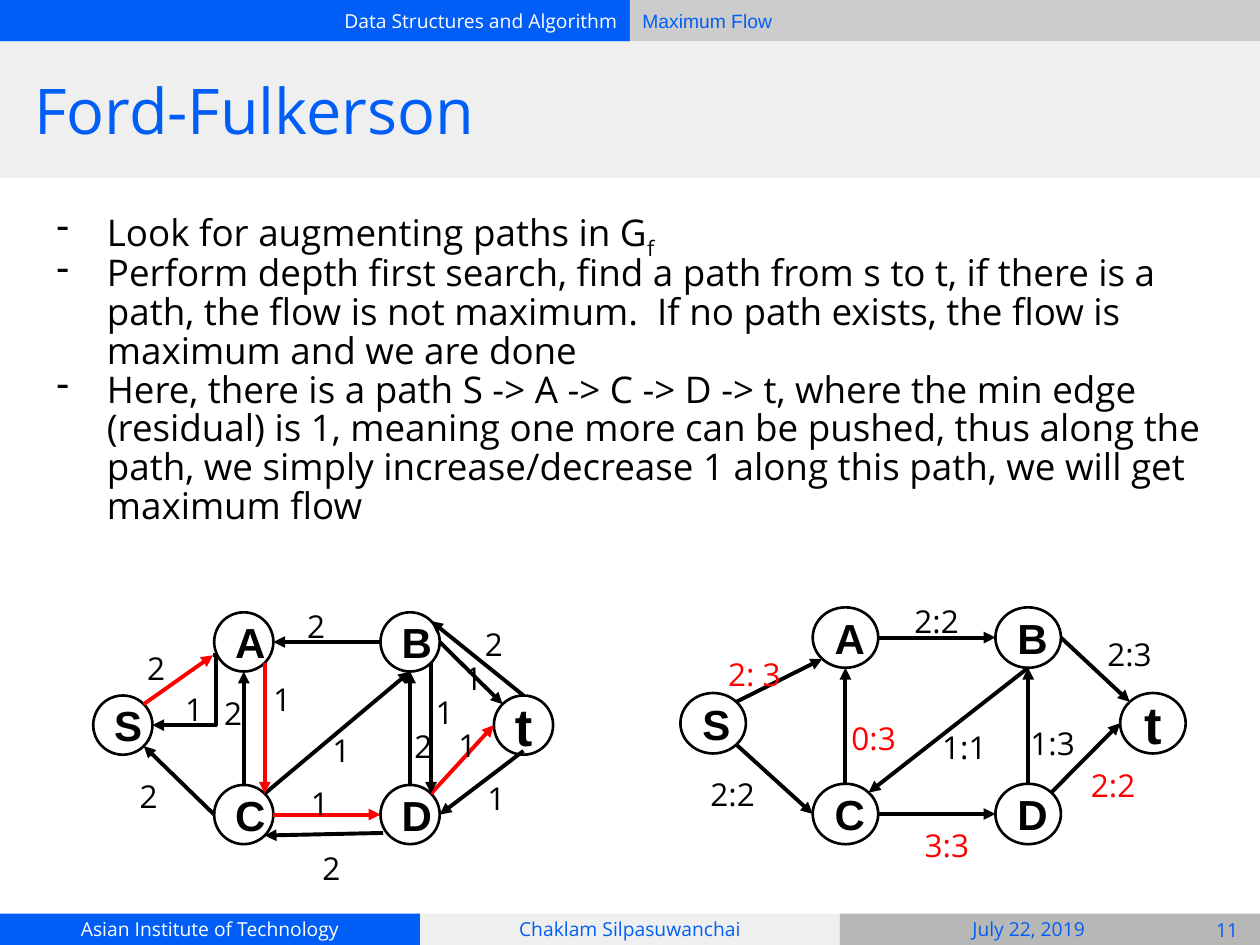
from math import sqrt

from lxml.etree import SubElement
from pptx import Presentation
from pptx.dml.color import RGBColor
from pptx.enum.shapes import MSO_CONNECTOR as Link, MSO_SHAPE as Shape
from pptx.enum.text import MSO_ANCHOR as Anchor, MSO_AUTO_SIZE as AutoSize, PP_ALIGN as Align
from pptx.oxml.ns import qn
from pptx.util import Inches, Pt

BLUE = RGBColor(0x00, 0x5E, 0xF6)
WHITE = RGBColor(0xFF, 0xFF, 0xFF)
BLACK = RGBColor(0x00, 0x00, 0x00)
RED = RGBColor(0xFF, 0x00, 0x00)
PALE = RGBColor(0xEF, 0xEF, 0xEF)
SILVER = RGBColor(0xCC, 0xCC, 0xCC)
GREY = RGBColor(0xB7, 0xB7, 0xB7)
SANS, ARIAL = "Open Sans", "Arial"

# Column and row of each node
NODE_GRID = {"S": (0, 1), "t": (3, 1), "A": (1, 0), "C": (1, 2), "D": (2, 2), "B": (2, 0)}

# Points on a node's rim, in radii from its centre
DIAGONAL = 1 / sqrt(2)
SITES = {
    "n": (0, -1), "s": (0, 1), "e": (1, 0), "w": (-1, 0),
    "ne": (DIAGONAL, -DIAGONAL), "nw": (-DIAGONAL, -DIAGONAL),
    "se": (DIAGONAL, DIAGONAL), "sw": (-DIAGONAL, DIAGONAL),
    "low w": (-1.04, 0.45), "side sw": (-0.91, 0.62), "inner s": (0, 0.87),
}

# Edges: start node and site, end node and site, colour
RESIDUAL_EDGES = [
    ("S", "ne", "A", "low w", RED), ("C", "w", "S", "se", BLACK),
    ("B", "w", "A", "e", BLACK), ("C", "n", "A", "s", BLACK),
    ("C", "ne", "B", "s", BLACK), ("C", "e", "D", "w", RED),
    ("D", "n", "B", "s", BLACK), ("B", "e", "t", "nw", BLACK),
    ("D", "ne", "t", "w", RED), ("A", "low w", "S", "e", BLACK),
    ("A", "se", "C", "ne", RED), ("D", "side sw", "C", "se", BLACK),
    ("B", "se", "D", "ne", BLACK), ("t", "n", "B", "ne", BLACK),
    ("t", "inner s", "D", "e", BLACK),
]
FLOW_EDGES = [
    ("S", "ne", "A", "sw", BLACK), ("S", "se", "C", "w", BLACK),
    ("A", "e", "B", "w", BLACK), ("C", "n", "A", "s", BLACK),
    ("B", "s", "C", "ne", BLACK), ("C", "e", "D", "w", BLACK),
    ("D", "n", "B", "s", BLACK), ("B", "e", "t", "nw", BLACK),
    ("D", "ne", "t", "w", BLACK),
]

# Labels: text, offset from the graph's corner, width, colour
RESIDUAL_LABELS = [
    ("2", 0.33, 0.19, 0.62, BLACK), ("2", 0.27, 1.21, 0.36, BLACK),
    ("2", 0.94, 0.55, 0.26, BLACK), ("2", 2.45, 0.81, 0.62, BLACK),
    ("1", 2.85, 0.27, 0.26, BLACK), ("1", 2.8, 0.8, 0.36, BLACK),
    ("2", 1.6, -0.14, 0.36, BLACK), ("1", 1.8, 0.84, 0.75, BLACK),
    ("1", 0.63, 0.52, 0.62, BLACK), ("1", 1.33, 0.44, 0.26, BLACK),
    ("1", 1.63, 1.26, 0.26, BLACK), ("2", 1.72, 1.78, 0.26, BLACK),
    ("1", 2.62, 0.54, 0.26, BLACK), ("2", 3.01, 0, 0.36, BLACK),
    ("1", 3.03, 1.22, 0.36, BLACK),
]
FLOW_LABELS = [
    ("2: 3", 0.28, 0.28, 0.68, RED), ("2:2", 0.14, 1.23, 0.83, BLACK),
    ("0:3", 1.26, 0.79, 0.6, RED), ("1:3", 2.68, 0.83, 0.68, BLACK),
    ("2:3", 3.29, 0.12, 0.83, BLACK), ("3:3", 1.84, 1.64, 0.68, RED),
    ("2:2", 3.16, 1.16, 0.68, RED), ("2:2", 1.76, -0.14, 0.93, BLACK),
    ("1:1", 1.98, 0.86, 0.83, BLACK),
]

BULLETS = [
    ("Look for augmenting paths in G", "f"),
    ("Perform depth first search, find a path from s to t, if there is a path, the flow is "
     "not maximum.  If no path exists, the flow is maximum and we are done", ""),
    ("Here, there is a path S -> A -> C -> D -> t, where the min edge (residual) is 1, "
     "meaning one more can be pushed, thus along the path, we simply increase/decrease 1 "
     "along this path, we will get maximum flow", ""),
]


def write(shape, text, size, color, font=SANS, align=Align.LEFT, anchor=Anchor.MIDDLE, bold=False):
    frame = shape.text_frame
    frame.word_wrap = True
    frame.auto_size = AutoSize.NONE
    frame.vertical_anchor = anchor
    frame.margin_left = frame.margin_right = Inches(0.1)
    frame.margin_top = frame.margin_bottom = Inches(0.1)
    para = frame.paragraphs[0]
    para.text = text
    para.alignment = align
    para.font.name, para.font.size, para.font.bold = font, Pt(size), bold
    para.font.color.rgb = color


def add_filled(page, kind, box, fill):
    shape = page.shapes.add_shape(kind, *map(Inches, box))
    shape.shadow.inherit = False
    shape.fill.solid()
    shape.fill.fore_color.rgb = fill
    shape.line.fill.background()
    return shape


def add_bar(page, box, fill, text="", color=BLUE, font=SANS, align=Align.CENTER):
    bar = add_filled(page, Shape.RECTANGLE, box, fill)
    if text:
        write(bar, text, 11, color, font, align)


def add_label(page, box, text, size, color, **style):
    write(page.shapes.add_textbox(*map(Inches, box)), text, size, color, **style)


def add_header(page, left, top, width):
    half = width / 2
    add_bar(page, (left, top, half, 0.33), BLUE, "Data Structures and Algorithm", WHITE,
            align=Align.RIGHT)
    add_bar(page, (left + half, top, half, 0.33), SILVER, "Maximum Flow", font=ARIAL,
            align=Align.LEFT)


def add_footer(page, left, top, width, height):
    third = width / 3
    add_bar(page, (left, top, third, height), BLUE, "Asian Institute of Technology", WHITE)
    add_bar(page, (left + third, top, third, height), PALE, "Chaklam Silpasuwanchai")
    add_bar(page, (left + 2 * third, top, third, height), GREY)
    add_label(page, (left + 6.75, top, 2.83, height), "July 22, 2019", 11, BLUE,
              align=Align.CENTER)
    add_label(page, (left + 9.48, top + 0.01, 0.52, 0.24), "11", 11, BLUE, align=Align.CENTER)


def add_title(page, left, top, width, height):
    add_bar(page, (left, top, width, height), PALE)
    title = page.shapes.title
    title.left, title.top = Inches(left + 0.17), Inches(top)
    title.width, title.height = Inches(width - 0.33), Inches(height)
    write(title, "Ford-Fulkerson", 36, BLUE)
    # Bring the title in front of its band
    page.shapes._spTree.append(title._element)


def add_bullets(page, left, top, width, height):
    frame = page.shapes.add_textbox(*map(Inches, (left, top, width, height))).text_frame
    frame.word_wrap = True
    frame.margin_top = Inches(0.1)
    for index, (text, subscript) in enumerate(BULLETS):
        para = frame.add_paragraph() if index else frame.paragraphs[0]
        para.add_run().text = text
        if subscript:
            span = para.add_run()
            span.text = subscript
            span.font._element.set("baseline", "-25000")
        para.line_spacing = 0.88
        para.font.name, para.font.size = SANS, Pt(21)
        para.font.color.rgb = BLACK
        props = para._p.get_or_add_pPr()
        props.set("marL", str(Inches(0.5)))
        props.set("indent", str(Inches(-0.4)))
        bullet = props.makeelement(qn("a:buChar"), {"char": "-"})
        props.find(qn("a:defRPr")).addprevious(bullet)


def add_edge(page, start, end, color, bent=False):
    kind = Link.ELBOW if bent else Link.STRAIGHT
    edge = page.shapes.add_connector(kind, *map(Inches, (*start, *end)))
    edge.line.color.rgb = color
    edge.line.width = Pt(2.25)
    SubElement(edge.line._get_or_add_ln(), qn("a:tailEnd"), type="triangle")
    props = edge._element.spPr
    SubElement(props, qn("a:effectLst"))
    if bent:
        guides = props.find(qn("a:prstGeom")).get_or_add_avLst()
        SubElement(guides, qn("a:gd"), name="adj1", fmla="val -4400")


def add_graph(page, left, top, columns, rows, node_size, edges, labels):
    width, height = node_size
    centres = {}
    for name, (column, row) in NODE_GRID.items():
        x, y = left + columns[column], top + rows[row]
        centres[name] = (x + width / 2, y + height / 2)
        node = add_filled(page, Shape.OVAL, (x, y, width, height), WHITE)
        node.line.color.rgb = BLACK
        node.line.width = Pt(1.5)
        write(node, name, 30 if name == "t" else 24, BLACK, ARIAL, Align.CENTER, bold=True)

    def rim(name, site):
        (x, y), (dx, dy) = centres[name], SITES[site]
        return x + dx * width / 2, y + dy * height / 2

    for source, leaving, target, entering, color in edges:
        bent = (source, target) == ("A", "S")
        add_edge(page, rim(source, leaving), rim(target, entering), color, bent)
    for text, dx, dy, label_width, color in labels:
        add_label(page, (left + dx, top + dy, label_width, 0.3), text, 18, color,
                  anchor=Anchor.TOP)


def main():
    deck = Presentation()
    deck.slide_width, deck.slide_height = Inches(10), Inches(7.5)
    page = deck.slides.add_slide(deck.slide_layouts[5])
    add_header(page, 0, 0, 10)
    add_footer(page, 0, 7.25, 10, 0.25)
    add_title(page, 0, 0.33, 10, 1.08)
    add_bullets(page, 0.25, 1.58, 9.58, 2.47)
    # Flow graph on the right, residual graph on the left
    add_graph(page, 5.4, 4.82, (0, 1.05, 2.5, 3.49), (0, 0.68, 1.4), (0.52, 0.48),
              FLOW_EDGES, FLOW_LABELS)
    add_graph(page, 0.74, 4.86, (0, 0.96, 2.28, 3.18), (0, 0.66, 1.37), (0.47, 0.47),
              RESIDUAL_EDGES, RESIDUAL_LABELS)
    deck.save("out.pptx")


if __name__ == "__main__":
    main()
